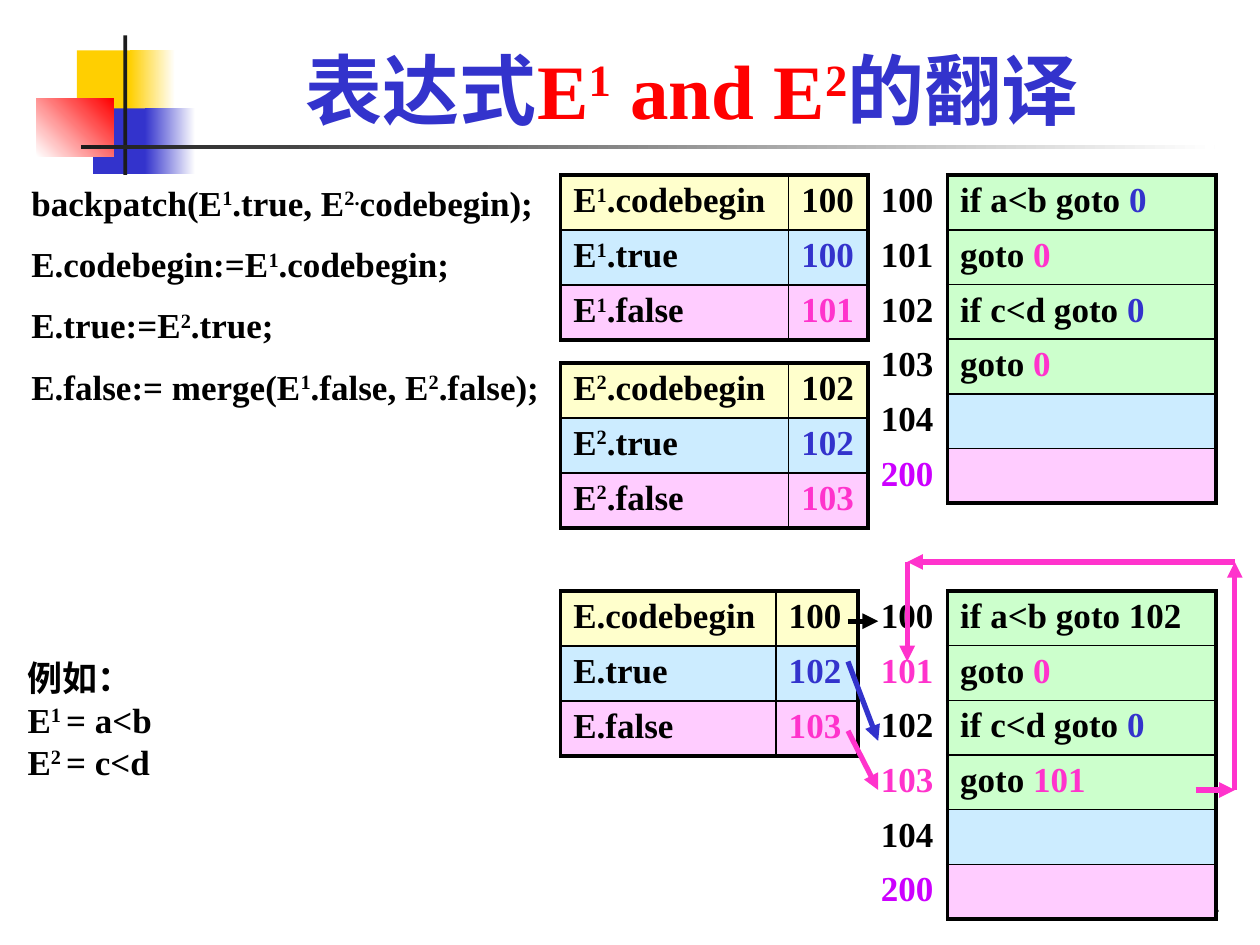
import pptx
import pptx.dml.color
import pptx.enum.shapes
import pptx.enum.text
import pptx.util
from lxml import etree
from pptx.oxml.ns import qn

Inches, Pt = pptx.util.Inches, pptx.util.Pt
rgb = pptx.dml.color.RGBColor.from_string
BLACK, WHITE, BLUE, PINK = "000000", "FFFFFF", "3333CC", "FF33CC"
PURPLE, RED, GOLD, DARK = "CC00FF", "FF0000", "FFCF01", "1C1C1C"
CREAM, SKY, ROSE, MINT = "FFFFCC", "CCECFF", "FFCCFF", "CCFFCC"


def write(para, text, color=BLACK, size=20, font="Times New Roman", bold=True):
    """Add text to a paragraph; parts between ^ marks are raised."""
    for i, part in enumerate(text.split("^")):
        if not part:
            continue
        span = para.add_run()
        span.text = part
        span.font.name, span.font.size, span.font.bold = font, Pt(size), bold
        span.font.color.rgb = rgb(color)
        if i % 2:
            span._r.get_or_add_rPr().set("baseline", "30000")


def set_border(cell, side, width):
    """Draw one side of a cell in black; width 0 hides it."""
    line = etree.SubElement(cell._tc.get_or_add_tcPr(), qn(f"a:ln{side}"))
    line.set("w", str(Pt(width)))
    if width:
        fill = etree.SubElement(line, qn("a:solidFill"))
        etree.SubElement(fill, qn("a:srgbClr")).set("val", BLACK)
    else:
        etree.SubElement(line, qn("a:noFill"))


deck = pptx.Presentation()
deck.slide_width, deck.slide_height = Inches(10), Inches(7.5)
page = deck.slides.add_slide(deck.slide_layouts[5])

# Corner ornament and rule: one colour is plain, two make a gradient
ornament = [
    (0.61, 0.4, 0.48, 0.52, [GOLD], 0),
    (1.03, 0.4, 0.36, 0.52, [GOLD, WHITE], 0),
    (0.74, 0.86, 0.46, 0.52, [BLUE], 0),
    (1.15, 0.86, 0.4, 0.52, [BLUE, WHITE], 0),
    (0.29, 0.78, 0.61, 0.46, [WHITE, RED], 45),
    (0.98, 0.28, 0.03, 1.15, [DARK], 0),
    (0.64, 1.15, 9, 0.03, [DARK, WHITE], 0),
]
for left, top, width, height, colors, angle in ornament:
    shape = page.shapes.add_shape(
        pptx.enum.shapes.MSO_SHAPE.RECTANGLE,
        Inches(left), Inches(top), Inches(width), Inches(height))
    shape.shadow.inherit = False
    shape.line.fill.background()
    if len(colors) == 1:
        shape.fill.solid()
        shape.fill.fore_color.rgb = rgb(colors[0])
    else:
        shape.fill.gradient()
        shape.fill.gradient_angle = angle
        for stop, color in zip(shape.fill.gradient_stops, colors):
            stop.color.rgb = rgb(color)

# Page number
box = page.shapes.add_textbox(Inches(7.7), Inches(6.83), Inches(2.08), Inches(0.5))
box.text_frame.word_wrap = True
box.text_frame.vertical_anchor = pptx.enum.text.MSO_ANCHOR.BOTTOM
para = box.text_frame.paragraphs[0]
para.alignment = pptx.enum.text.PP_ALIGN.RIGHT
write(para, "62", size=14, font="Cabin", bold=False)

# Semantic actions
box = page.shapes.add_textbox(Inches(-0.35), Inches(1.39), Inches(4.88), Inches(1.97))
box.fill.solid()
box.fill.fore_color.rgb = rgb(WHITE)
box.text_frame.word_wrap = True
actions = [
    "backpatch(E^1^.true, E^2.^codebegin);",
    "E.codebegin:=E^1^.codebegin;",
    "E.true:=E^2^.true;",
    "E.false:= merge(E^1^.false, E^2^.false);",
]
for i, action in enumerate(actions):
    para = box.text_frame.add_paragraph() if i else box.text_frame.paragraphs[0]
    para.level = 1
    layout = para._p.get_or_add_pPr()
    layout.set("marL", str(Inches(0.81)))
    layout.set("indent", str(Inches(-0.31)))
    if i:
        para.space_before = Pt(11)
    write(para, action)

# Title
title = page.shapes.title
title.left, title.top = Inches(1.22), Inches(0.36)
title.width, title.height = Inches(8.55), Inches(0.76)
title.text_frame.auto_size = pptx.enum.text.MSO_AUTO_SIZE.NONE
title.text_frame.vertical_anchor = pptx.enum.text.MSO_ANCHOR.BOTTOM
para = title.text_frame.paragraphs[0]
para.alignment = pptx.enum.text.PP_ALIGN.CENTER
for text, color in [("表达式", BLUE), ("E^1^ and E^2^", RED), ("的翻译", BLUE)]:
    write(para, text, color, size=44)

# Tables: code listings have unboxed addresses, attribute tables are fully boxed
code_fills = [MINT] * 4 + [SKY, ROSE]
value_fills = [CREAM, SKY, ROSE]
value_colors = [BLACK, BLUE, PINK]
code_before = [
    ("100", BLACK, [("if a<b goto ", BLACK), ("0", BLUE)]),
    ("101", BLACK, [("goto ", BLACK), ("0", PINK)]),
    ("102", BLACK, [("if c<d goto ", BLACK), ("0", BLUE)]),
    ("103", BLACK, [("goto ", BLACK), ("0", PINK)]),
    ("104", BLACK, []),
    ("200", PURPLE, []),
]
code_after = [
    ("100", BLACK, [("if a<b goto 102", BLACK)]),
    ("101", PINK, code_before[1][2]),
    code_before[2],
    ("103", PINK, [("goto ", BLACK), ("101", PINK)]),
    *code_before[4:],
]
tables = []
for top, code in [(4.69, code_after), (1.39, code_before)]:
    rows = [([(address, color)], runs) for address, color, runs in code]
    tables.append((6.89, top, (0.63, 2.13), 2.6, 1, code_fills, rows))
for top, widths, name, values in [
    (4.69, (1.71, 0.65), "E", ("100", "102", "103")),
    (1.39, (1.81, 0.63), "E^1^", ("100", "100", "101")),
    (2.88, (1.81, 0.63), "E^2^", ("102", "102", "103")),
]:
    rows = [([(f"{name}.{field}", BLACK)], [(value, color)])
            for field, value, color in zip(("codebegin", "true", "false"), values, value_colors)]
    tables.append((4.45, top, widths, 1.31, 0, value_fills, rows))

for left, top, widths, height, first_boxed, fills, rows in tables:
    table = page.shapes.add_table(
        len(rows), 2, Inches(left), Inches(top), Inches(sum(widths)), Inches(height)).table
    table.first_row = table.horz_banding = False
    for column, width in zip(table.columns, widths):
        column.width = Inches(width)
    for r, (row, fill) in enumerate(zip(rows, fills)):
        table.rows[r].height = Inches(height / len(rows))
        for c, runs in enumerate(row):
            cell = table.cell(r, c)
            boxed = c >= first_boxed
            set_border(cell, "L", (2.25 if c == first_boxed else 1) if boxed else 0)
            set_border(cell, "R", 2.25 if c == 1 or not boxed else 1)
            set_border(cell, "T", (1 if r else 2.25) if boxed else 0)
            set_border(cell, "B", (2.25 if r == len(rows) - 1 else 1) if boxed else 0)
            cell.fill.solid()
            cell.fill.fore_color.rgb = rgb(fill if boxed else WHITE)
            for text, color in runs:
                write(cell.text_frame.paragraphs[0], text, color)

# Arrows: the jump back from 103 to 101, then the attribute pointers
arrows = [
    (9.49, 6.27, 9.8, 6.27, PINK),
    (9.8, 6.27, 9.8, 4.46, PINK),
    (9.8, 4.46, 7.2, 4.46, PINK),
    (7.2, 4.46, 7.2, 5.25, PINK),
    (6.73, 5.8, 6.97, 6.27, PINK),
    (6.73, 4.93, 6.97, 4.93, BLACK),
    (6.73, 5.25, 6.97, 5.88, BLUE),
]
for x1, y1, x2, y2, color in arrows:
    arrow = page.shapes.add_connector(
        pptx.enum.shapes.MSO_CONNECTOR.STRAIGHT,
        Inches(x1), Inches(y1), Inches(x2), Inches(y2))
    arrow.line.color.rgb = rgb(color)
    arrow.line.width = Pt(3)
    etree.SubElement(arrow.line._get_or_add_ln(), qn("a:tailEnd")).set("type", "triangle")
    etree.SubElement(arrow._element.spPr, qn("a:effectLst"))

# Example
box = page.shapes.add_textbox(Inches(0.12), Inches(5.16), Inches(1.22), Inches(1.11))
box.text_frame.word_wrap = False
box.text_frame.auto_size = pptx.enum.text.MSO_AUTO_SIZE.SHAPE_TO_FIT_TEXT
for i, text in enumerate(["例如：", "E^1 ^= a<b", "E^2 ^= c<d"]):
    para = box.text_frame.add_paragraph() if i else box.text_frame.paragraphs[0]
    write(para, text)

deck.save("out.pptx")
